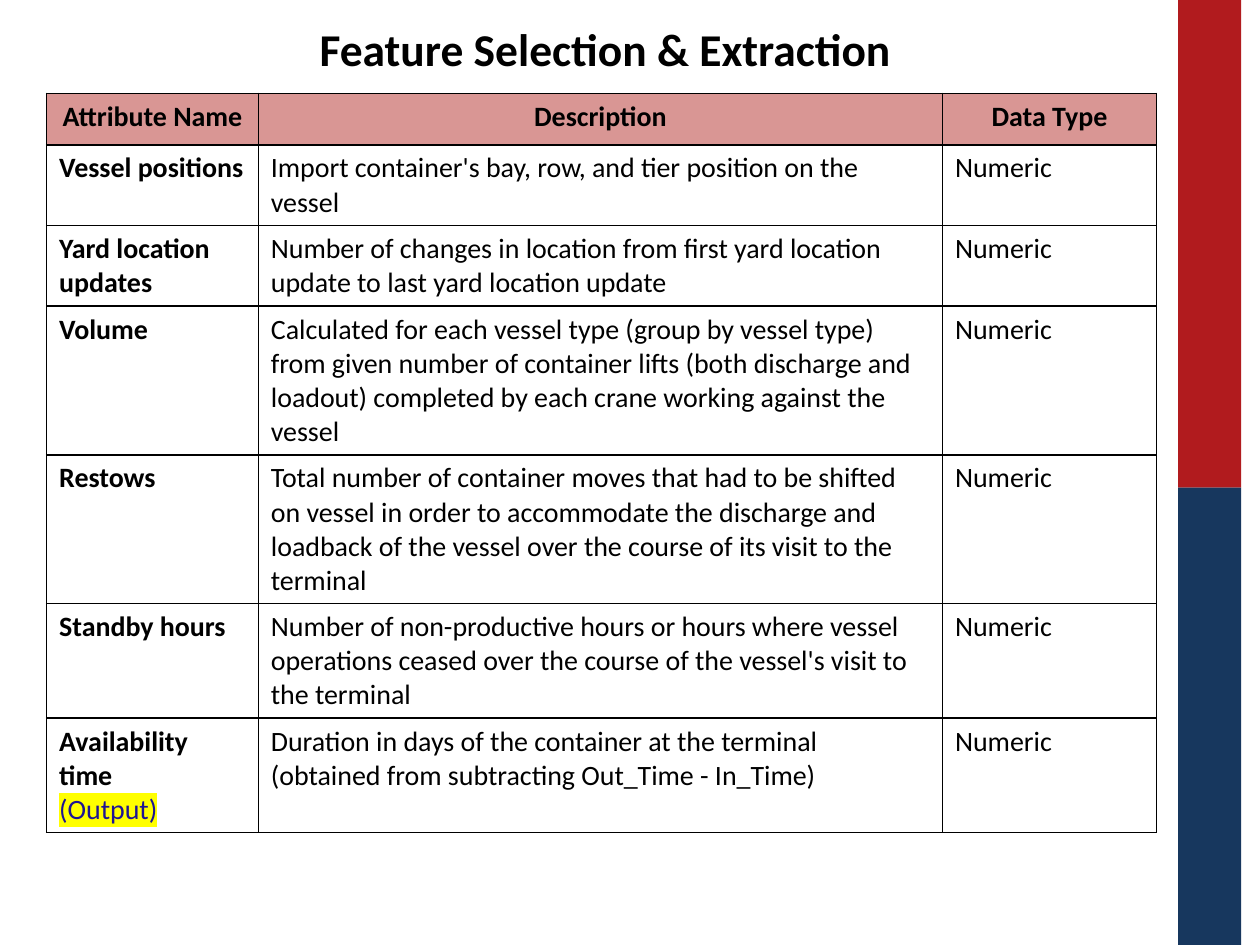
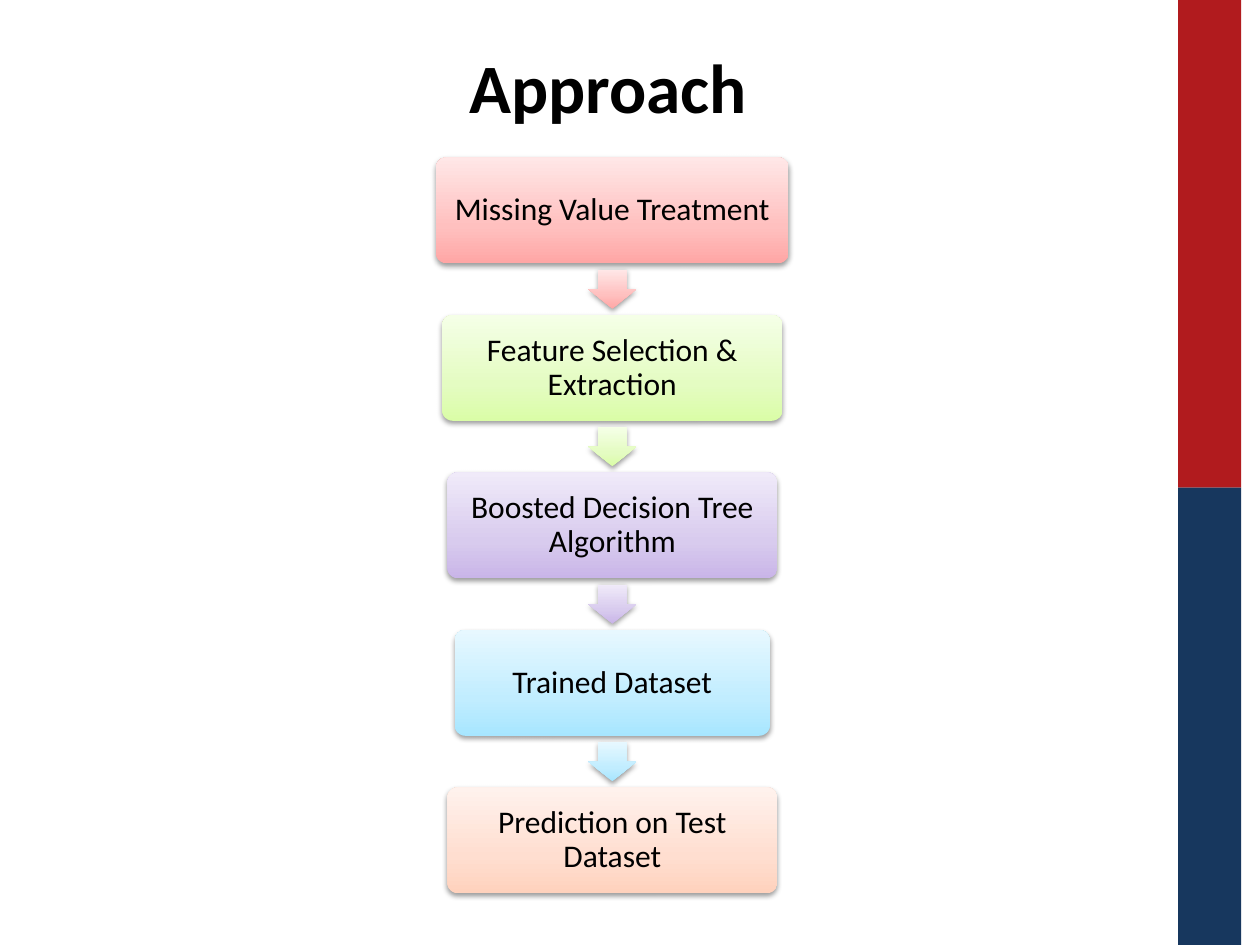
from pptx import Presentation
from pptx.dml.color import RGBColor
from pptx.enum.shapes import MSO_SHAPE as Shape
from pptx.enum.text import MSO_ANCHOR as Anchor, PP_ALIGN as Align
from pptx.oxml import parse_xml
from pptx.oxml.ns import nsdecls
from pptx.util import Inches, Pt

FONT = "Calibri"
BLACK = RGBColor(0x00, 0x00, 0x00)
BAND_RED = RGBColor(0xB1, 0x1B, 0x1E)
BAND_BLUE = RGBColor(0x17, 0x37, 0x5E)
HEADER_PINK = RGBColor(0xD9, 0x96, 0x94)
OUTPUT_BLUE = RGBColor(0x1E, 0x14, 0x94)
HIGHLIGHT_YELLOW = RGBColor(0xFF, 0xFF, 0x00)

# Gradient stops of each step, from bottom to top
STOP_POSITIONS = (0, 35, 100)
RED_TINTS = (RGBColor(0xFF, 0xA6, 0xA5), RGBColor(0xFF, 0xC0, 0xBF), RGBColor(0xFF, 0xE7, 0xE7))
GREEN_TINTS = (RGBColor(0xDA, 0xFD, 0xA7), RGBColor(0xE4, 0xFC, 0xC2), RGBColor(0xF5, 0xFF, 0xE7))
PURPLE_TINTS = (RGBColor(0xC9, 0xB5, 0xE8), RGBColor(0xD8, 0xCB, 0xEE), RGBColor(0xF0, 0xEA, 0xF9))
BLUE_TINTS = (RGBColor(0xA7, 0xE6, 0xFF), RGBColor(0xC1, 0xED, 0xFF), RGBColor(0xE7, 0xF8, 0xFF))
ORANGE_TINTS = (RGBColor(0xFF, 0xD2, 0xBD), RGBColor(0xFF, 0xDE, 0xD0), RGBColor(0xFF, 0xF2, 0xED))

COLUMN_WIDTHS = (1.68, 5.43, 1.7)
HEADERS = ("Attribute Name", "Description", "Data Type")
# Attribute, description, number of text lines
ATTRIBUTES = (
    ("Vessel positions",
     "Import container's bay, row, and tier position on the vessel", 2),
    ("Yard location updates",
     "Number of changes in location from first yard location update to last "
     "yard location update", 2),
    ("Volume",
     "Calculated for each vessel type (group by vessel type) from given number of "
     "container lifts (both discharge and loadout) completed by each crane working "
     "against the vessel", 4),
    ("Restows",
     "Total number of container moves that had to be shifted on vessel in order to "
     "accommodate the discharge and loadback of the vessel over the course of its "
     "visit to the terminal", 4),
    ("Standby hours",
     "Number of non-productive hours or hours where vessel operations ceased over "
     "the course of the vessel's visit to the terminal", 3),
    ("Availability time",
     "Duration in days of the container at the terminal (obtained from subtracting "
     "Out_Time - In_Time)", 3),
)

# Step text, box width, tints
STEPS = (
    ("Missing Value Treatment", 2.8, RED_TINTS),
    ("Feature Selection & Extraction", 2.7, GREEN_TINTS),
    ("Boosted Decision Tree Algorithm", 2.62, PURPLE_TINTS),
    ("Trained Dataset", 2.5, BLUE_TINTS),
    ("Prediction on Test Dataset", 2.62, ORANGE_TINTS),
)


def write(para, text, size, bold=False, color=BLACK, align=Align.LEFT):
    para.alignment = align
    font = para.font
    font.name, font.size, font.bold = FONT, Pt(size), bold
    font.color.rgb = color
    span = para.add_run()
    span.text = text
    return span


def add_title(page, text, size, left, top, width, height):
    box = page.shapes.add_textbox(Inches(left), Inches(top), Inches(width), Inches(height))
    frame = box.text_frame
    frame.word_wrap = True
    frame.vertical_anchor = Anchor.MIDDLE
    write(frame.paragraphs[0], text, size, bold=True, align=Align.CENTER)


def add_side_bands(page):
    for top, height, color in ((0, 3.87, BAND_RED), (3.87, 3.63, BAND_BLUE)):
        band = page.shapes.add_shape(
            Shape.RECTANGLE, Inches(9.35), Inches(top), Inches(0.5), Inches(height))
        band.shadow.inherit = False
        band.fill.solid()
        band.fill.fore_color.rgb = color
        band.line.fill.background()


def set_borders(cell):
    properties = cell._tc.get_or_add_tcPr()
    for index, side in enumerate(("lnL", "lnR", "lnT", "lnB")):
        properties.insert(index, parse_xml(
            f'<a:{side} {nsdecls("a")} w="{Pt(1)}"><a:solidFill>'
            f'<a:srgbClr val="{BLACK}"/></a:solidFill></a:{side}>'))


def highlight(span, color):
    span._r.get_or_add_rPr().append(parse_xml(
        f'<a:highlight {nsdecls("a")}><a:srgbClr val="{color}"/></a:highlight>'))


def add_attribute_table(page, left, top):
    heights = [0.41] + [0.1 + 0.27 * lines for *_, lines in ATTRIBUTES]
    table = page.shapes.add_table(
        len(heights), len(HEADERS), Inches(left), Inches(top),
        Inches(sum(COLUMN_WIDTHS)), Inches(sum(heights))).table
    table.first_row = table.horz_banding = False
    for column, width in zip(table.columns, COLUMN_WIDTHS):
        column.width = Inches(width)
    for row, height in zip(table.rows, heights):
        row.height = Inches(height)

    rows = [HEADERS] + [(name, about, "Numeric") for name, about, _ in ATTRIBUTES]
    for row_index, texts in enumerate(rows):
        is_header = row_index == 0
        for column_index, text in enumerate(texts):
            cell = table.cell(row_index, column_index)
            if is_header:
                cell.fill.solid()
                cell.fill.fore_color.rgb = HEADER_PINK
            else:
                cell.fill.background()
            set_borders(cell)
            write(cell.text_frame.paragraphs[0], text, 16,
                  bold=is_header or column_index == 0,
                  align=Align.CENTER if is_header else Align.LEFT)

    # Mark the predicted attribute
    para = table.cell(len(rows) - 1, 0).text_frame.add_paragraph()
    highlight(write(para, "(Output)", 16, color=OUTPUT_BLUE), HIGHLIGHT_YELLOW)


def add_tinted_shape(page, kind, center, top, width, height, tints, adjustments):
    shape = page.shapes.add_shape(
        kind, Inches(center - width / 2), Inches(top), Inches(width), Inches(height))
    for index, value in enumerate(adjustments):
        shape.adjustments[index] = value
    shape.line.fill.background()
    shape.shadow.inherit = False

    # Gradient fill and soft shadow
    stops = "".join(
        f'<a:gs pos="{position * 1000}"><a:srgbClr val="{tint}"/></a:gs>'
        for position, tint in zip(STOP_POSITIONS, tints))
    properties = shape._element.spPr
    properties.find("{*}ln").addprevious(parse_xml(
        f'<a:gradFill {nsdecls("a")} rotWithShape="1"><a:gsLst>{stops}</a:gsLst>'
        '<a:lin ang="16200000" scaled="0"/></a:gradFill>'))
    properties.find("{*}effectLst").append(parse_xml(
        f'<a:outerShdw {nsdecls("a")} blurRad="{Pt(3.1)}" dist="{Pt(1.6)}" '
        f'dir="5400000" rotWithShape="0"><a:srgbClr val="{BLACK}">'
        '<a:alpha val="38000"/></a:srgbClr></a:outerShdw>'))
    return shape


def add_step_flow(page, center, top):
    pitch, box_height, arrow_gap = 1.25, 0.84, 0.05
    for index, (text, width, tints) in enumerate(STEPS):
        box_top = top + index * pitch
        box = add_tinted_shape(page, Shape.ROUNDED_RECTANGLE, center, box_top,
                               width, box_height, tints, (0.1,))
        frame = box.text_frame
        frame.word_wrap = True
        frame.vertical_anchor = Anchor.MIDDLE
        frame.margin_left = frame.margin_right = Inches(0.09)
        frame.margin_top = frame.margin_bottom = Inches(0.09)
        para = frame.paragraphs[0]
        para.line_spacing = 0.9
        write(para, text, 18, align=Align.CENTER)
        if index < len(STEPS) - 1:
            add_tinted_shape(page, Shape.DOWN_ARROW, center,
                             box_top + box_height + arrow_gap,
                             0.38, 0.31, tints, (0.6, 0.5))


def add_features_page(page):
    add_title(page, "Feature Selection & Extraction", 26, 0.4, 0.11, 8.81, 0.55)
    add_side_bands(page)
    add_attribute_table(page, 0.37, 0.74)


def add_approach_page(page):
    add_title(page, "Approach", 39.6, 0.5, 0.46, 8.65, 0.44)
    add_side_bands(page)
    add_step_flow(page, 4.86, 1.25)


def main():
    deck = Presentation()
    deck.slide_width, deck.slide_height = Inches(10), Inches(7.5)
    for build_page in (add_features_page, add_approach_page):
        build_page(deck.slides.add_slide(deck.slide_layouts[6]))
    deck.save("out.pptx")


if __name__ == "__main__":
    main()
